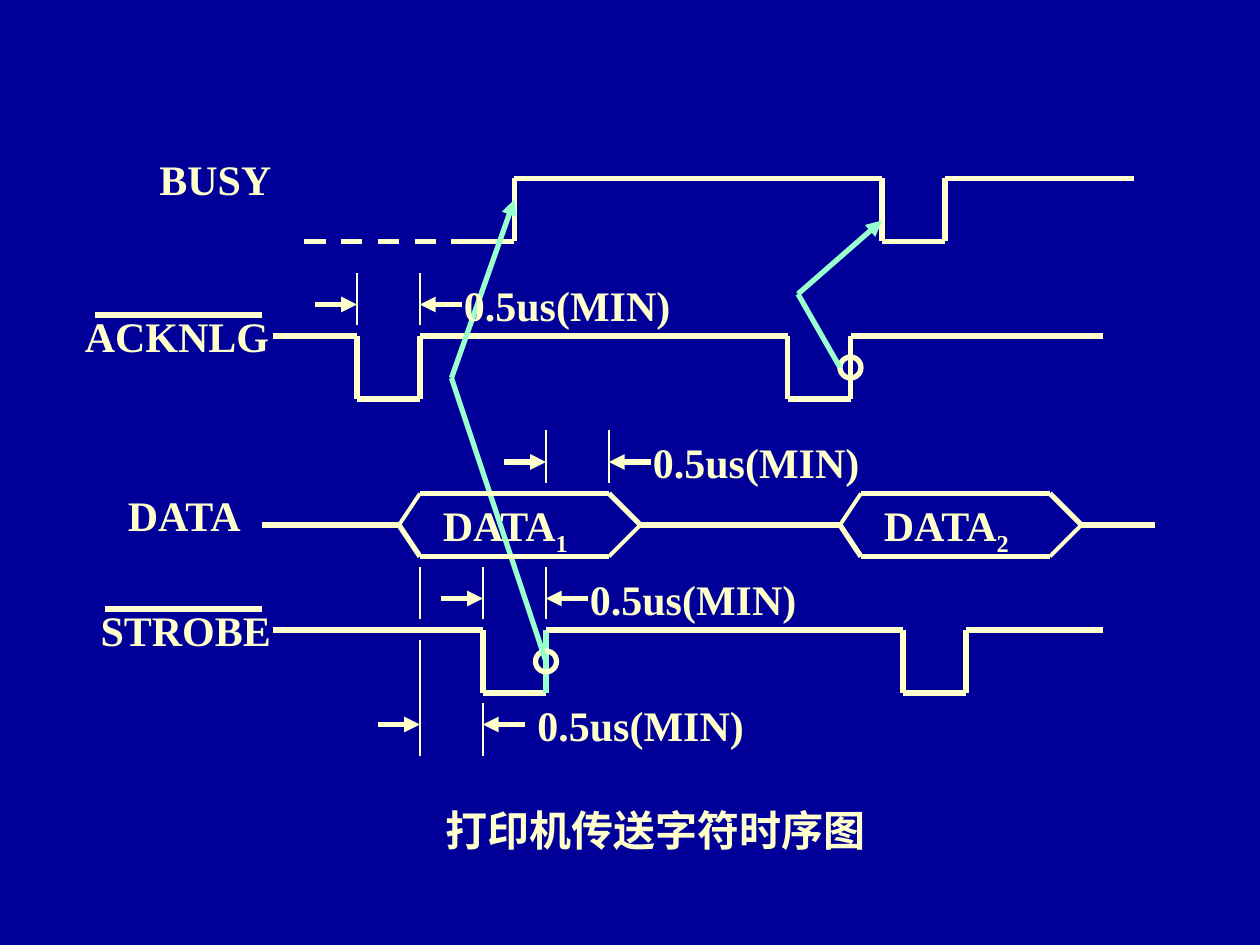
from lxml.etree import SubElement
from pptx import Presentation
from pptx.dml.color import RGBColor
from pptx.enum.dml import MSO_LINE
from pptx.enum.shapes import MSO_CONNECTOR, MSO_SHAPE
from pptx.enum.text import MSO_ANCHOR, MSO_AUTO_SIZE, PP_ALIGN
from pptx.oxml.ns import qn
from pptx.util import Emu, Pt

SCALE = 7620
CREAM, MINT, NAVY = "FFFFCC", "99FFCC", "000099"
FONT = {"name": "Times New Roman", "size": Pt(24), "bold": True}
LABEL = {"word_wrap": False, "auto_size": MSO_AUTO_SIZE.SHAPE_TO_FIT_TEXT}
HEAD = {"word_wrap": True, "vertical_anchor": MSO_ANCHOR.MIDDLE}


def px(*vals):
    """Turn pixel lengths into EMU."""
    return [Emu(val * SCALE) for val in vals]


def hue(code):
    """Turn a hex string into a colour."""
    return RGBColor.from_string(code)


def apply(item, fmt):
    """Set each format value on an item."""
    for key, val in fmt.items():
        setattr(item, key, val)


def line(shapes, start, end, color=CREAM, width=3, dash=None, arrow=False):
    """Draw one straight line."""
    link = shapes.add_connector(MSO_CONNECTOR.STRAIGHT, *px(*start, *end))
    link.line.color.rgb = hue(color)
    link.line.width = Pt(width)
    if dash:
        link.line.dash_style = dash
    if arrow:
        SubElement(link.line._get_or_add_ln(), qn("a:tailEnd"), type="triangle")
    SubElement(link._element.spPr, qn("a:effectLst"))


def trace(shapes, points, **look):
    """Join points in turn with lines."""
    for start, end in zip(points, points[1:]):
        line(shapes, start, end, **look)


def write(part, text, sub=""):
    """Put styled text with an optional subscript in a paragraph."""
    for word in filter(None, (text, sub)):
        run = part.add_run()
        run.text = word
        apply(run.font, FONT)
        run.font.color.rgb = hue(CREAM)
    if sub:
        run._r.get_or_add_rPr().set("baseline", "-25000")


def label(shapes, box, text, sub="", wrap=False):
    """Place a text label in a box."""
    frame = shapes.add_textbox(*px(*box)).text_frame
    apply(frame, LABEL | {"word_wrap": wrap})
    write(frame.paragraphs[0], text, sub)
    return frame.paragraphs[0]


def bar(shapes, left, right, y):
    """Draw the line over a signal name."""
    line(shapes, (left, y), (right, y))


def pulse(shapes, box, dips, tint=CREAM):
    """Draw a high signal with low dips; tint colours the first rise."""
    left, top, width, height = box
    low, x = top + height, left
    for num, (fall, rise) in enumerate(dips):
        down, up = left + fall, left + rise
        trace(shapes, [(x, top), (down, top), (down, low), (up, low)])
        line(shapes, (up, top), (up, low), tint if num == 0 else CREAM)
        x = up
    line(shapes, (x, top), (left + width, top))


def busy(shapes, box):
    """Draw the busy signal with its unknown start."""
    left, top, width, height = box
    low = top + height
    line(shapes, (left, low), (left + 140, low), dash=MSO_LINE.DASH)
    steps = [(140, low), (200, low), (200, top), (550, top),
             (550, low), (610, low), (610, top), (width, top)]
    trace(shapes, [(left + x, y) for x, y in steps])


def cell(shapes, box, sub, wide):
    """Draw one data cell with its name."""
    left, top, width, height = box
    mid, low, right = top + height // 2, top + height, left + width
    west, east = left + 20, right - 30
    group = shapes.add_group_shape().shapes
    trace(group, [(left, mid), (west, low), (east, low)])
    trace(group, [(west, top), (east, top), (right, mid)])
    line(group, (right, mid), (east, low), width=2.25)
    line(group, (west, top), (left, mid), width=2.25)
    part = label(shapes, (left + 30, top, wide, 67), "DATA", sub, True)
    part.space_before = Pt(15)


def data(shapes, box):
    """Draw the data bus and its two cells."""
    left, top, width, height = box
    mid = top + height // 2
    for start, end in ((0, 130), (360, 550), (780, width)):
        line(shapes, (left + start, mid), (left + end, mid))
    for x, sub, wide in ((130, "1", 180), (550, "2", 220)):
        cell(shapes, (left + x, top, 230, height), sub, wide)


def span(shapes, left, y, text_x, text_y):
    """Mark a minimum time with two arrows and a label."""
    for start, end in ((-40, 0), (100, 60)):
        line(shapes, (left + start, y), (left + end, y), arrow=True)
    label(shapes, (text_x, text_y, 221, 60), "0.5us(MIN)")


def cause(shapes, box, path):
    """Draw a ring and the bent arrow that leaves it."""
    ring = shapes.add_shape(MSO_SHAPE.OVAL, *px(*box))
    ring.shadow.inherit = False
    ring.fill.background()
    ring.line.color.rgb = hue(CREAM)
    ring.line.width = Pt(3)
    start, bend, end = path
    line(shapes, start, bend, MINT)
    line(shapes, bend, end, MINT, arrow=True)


def title(shape, box, text):
    """Place and format the title."""
    apply(shape, dict(zip(("left", "top", "width", "height"), px(*box))))
    apply(shape.text_frame, HEAD)
    part = shape.text_frame.paragraphs[0]
    part.alignment = PP_ALIGN.CENTER
    write(part, text)


def main():
    """Build the timing slide and save it."""
    deck = Presentation()
    apply(deck, dict(zip(("slide_width", "slide_height"), px(1200, 900))))
    slide = deck.slides.add_slide(deck.slide_layouts[5])
    slide.background.fill.solid()
    slide.background.fill.fore_color.rgb = hue(NAVY)
    shapes = slide.shapes
    title(shapes.title, (299, 760, 650, 60), "打印机传送字符时序图")

    pulse(shapes, (260, 600, 790, 60), [(200, 260), (600, 660)], MINT)
    pulse(shapes, (260, 320, 790, 60), [(80, 140), (490, 550)])
    busy(shapes, (290, 170, 790, 60))
    cause(shapes, (800, 340, 20, 20), [(800, 350), (760, 280), (840, 210)])
    cause(shapes, (510, 620, 20, 20), [(520, 630), (430, 360), (490, 190)])
    data(shapes, (250, 470, 850, 60))

    for top, low, marks in ((260, 310, (340, 400)), (410, 460, (520, 580)),
                            (540, 590, (400, 460, 520)),
                            (610, 720, (400,)), (670, 720, (460,))):
        for x in marks:
            line(shapes, (x, low), (x, top), width=0.75)
    for spot in ((340, 290, 430, 260), (520, 440, 610, 410),
                 (460, 570, 550, 540), (400, 690, 500, 660)):
        span(shapes, *spot)
    for x, y, wide, text in ((140, 140, 131, "BUSY"), (69, 290, 204, "ACKNLG"),
                             (110, 460, 137, "DATA"), (84, 570, 188, "STROBE")):
        label(shapes, (x, y, wide, 60), text)
    bar(shapes, 90, 250, 300)
    bar(shapes, 100, 250, 580)
    deck.save("out.pptx")


if __name__ == "__main__":
    main()
